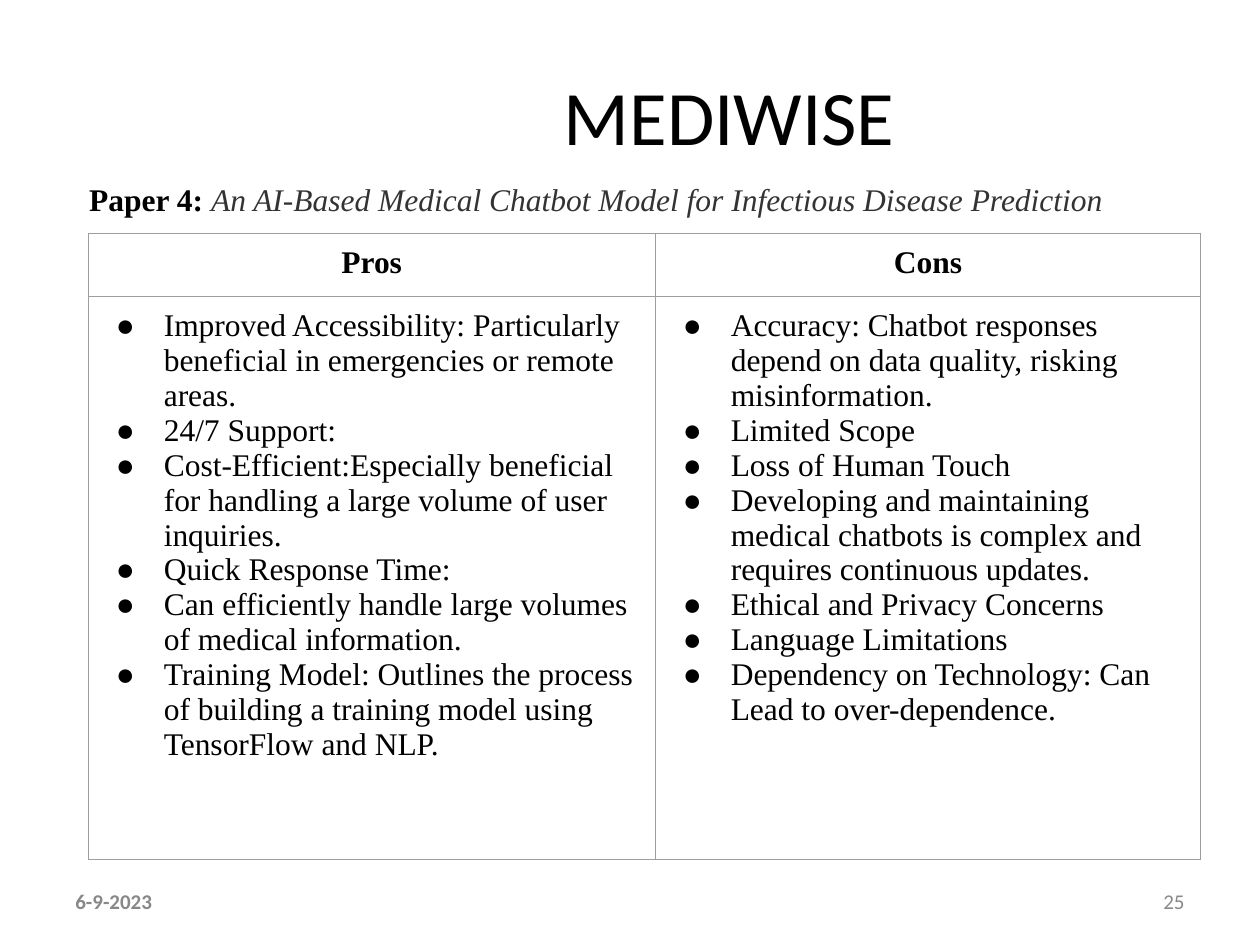
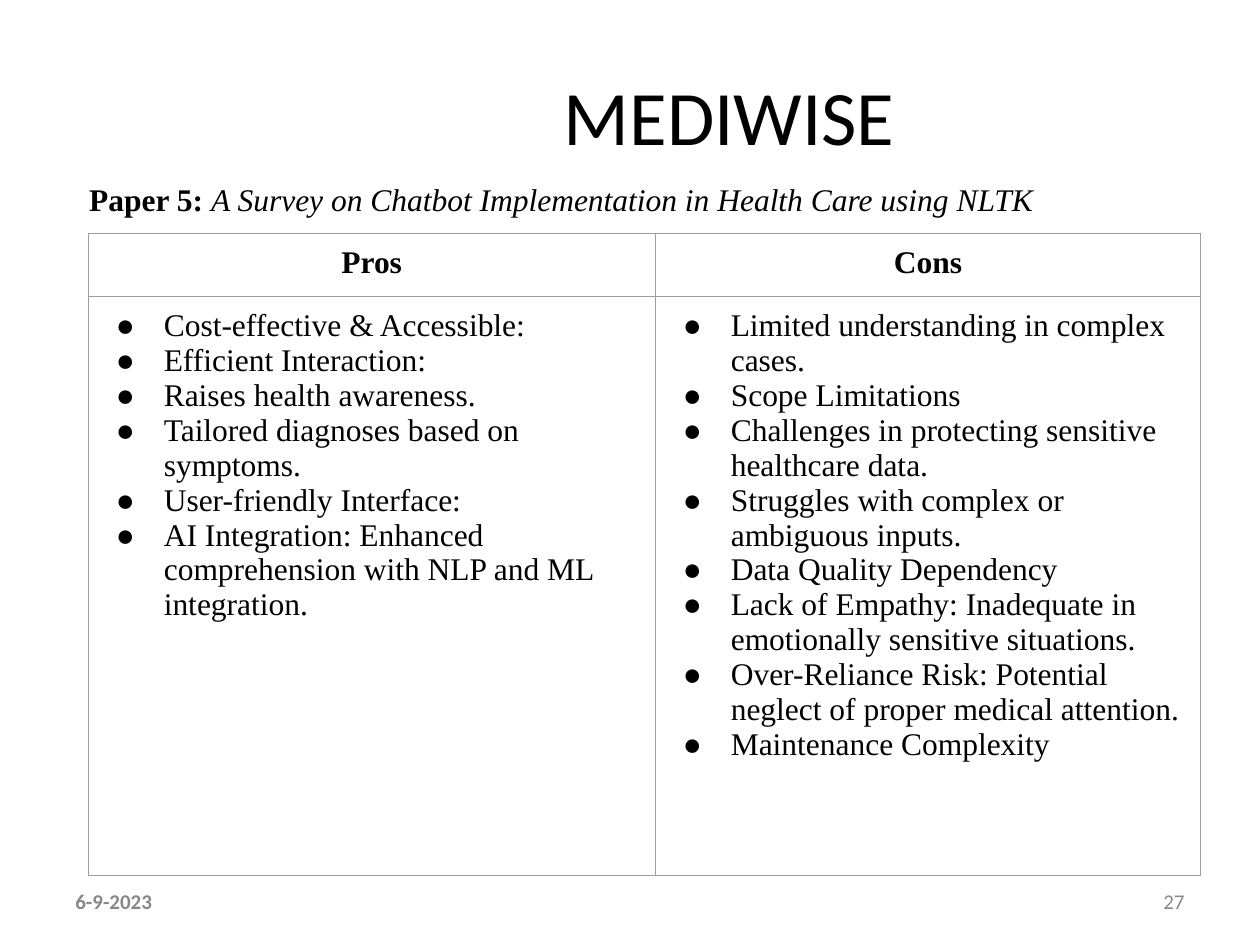
from dataclasses import dataclass

import pptx
import pptx.dml.color
import pptx.enum.text
import pptx.oxml.ns
import pptx.util
from lxml import etree

Inches = pptx.util.Inches
Pt = pptx.util.Pt
Align = pptx.enum.text.PP_ALIGN
Anchor = pptx.enum.text.MSO_ANCHOR


@dataclass(frozen=True)
class Theme:
    heading_font: str = "Calibri"
    body_font: str = "Times New Roman"
    title_size: int = 44
    body_size: int = 18
    footer_size: int = 12
    ink: str = "000000"
    soft_ink: str = "333333"
    footer: str = "888888"
    border: str = "9E9E9E"
    border_width: float = 0.75


@dataclass(frozen=True)
class TextStyle:
    font: str
    size: int
    color: str
    bold: bool = False
    italic: bool = False


@dataclass(frozen=True)
class Box:
    left: float
    top: float
    width: float
    height: float

    def lengths(self) -> tuple:
        return tuple(Inches(n) for n in (self.left, self.top, self.width, self.height))


@dataclass(frozen=True)
class PaperReview:
    label: str
    paper_title: str
    paper_color: str
    page: str
    body_height: float
    pros: tuple[str, ...]
    cons: tuple[str, ...]


THEME = Theme()
TITLE_STYLE = TextStyle(THEME.heading_font, THEME.title_size, THEME.ink)
BODY_STYLE = TextStyle(THEME.body_font, THEME.body_size, THEME.ink)
STRONG_STYLE = TextStyle(THEME.body_font, THEME.body_size, THEME.ink, bold=True)
DATE_STYLE = TextStyle(THEME.heading_font, THEME.footer_size, THEME.footer, bold=True)
PAGE_STYLE = TextStyle(THEME.heading_font, THEME.footer_size, THEME.footer)

TITLE = " MEDIWISE"
DATE = "6-9-2023"
TITLE_BOX = Box(4.08, 0.44, 3.28, 0.94)
PAPER_BOX = Box(0.61, 1.33, 9, 1.99)
DATE_BOX = Box(0.5, 6.95, 2.33, 0.4)
PAGE_BOX = Box(7.17, 6.95, 2.33, 0.4)
TABLE_LEFT, TABLE_TOP = 0.7, 1.85
COLUMN_WIDTHS = (4.5, 4.33)
HEADER_HEIGHT = 0.48
INSET = 0.1
BULLET_INDENT, BULLET_HANGING = 0.5, 0.38

REVIEWS = (
    PaperReview(
        label="Paper 4: ",
        paper_title="An AI-Based Medical Chatbot Model for Infectious Disease Prediction",
        paper_color=THEME.soft_ink,
        page="25",
        body_height=4.47,
        pros=(
            "Improved Accessibility: Particularly beneficial in emergencies or remote areas.",
            "24/7 Support:",
            "Cost-Efficient:Especially beneficial for handling a large volume of user inquiries.",
            "Quick Response Time:",
            "Can efficiently handle large volumes of medical information.",
            "Training Model: Outlines the process of building a training model "
            "using TensorFlow and NLP.",
        ),
        cons=(
            "Accuracy: Chatbot responses depend on data quality, risking misinformation.",
            "Limited Scope",
            "Loss of Human Touch",
            "Developing and maintaining medical chatbots is complex and "
            "requires continuous updates.",
            "Ethical and Privacy Concerns",
            "Language Limitations",
            "Dependency on Technology: Can Lead to over-dependence.",
        ),
    ),
    PaperReview(
        label="Paper 5: ",
        paper_title="A Survey on Chatbot Implementation in Health Care using NLTK",
        paper_color=THEME.ink,
        page="27",
        body_height=4.6,
        pros=(
            "Cost-effective & Accessible:",
            "Efficient Interaction:",
            "Raises health awareness.",
            "Tailored diagnoses based on symptoms.",
            "User-friendly Interface:",
            "AI Integration: Enhanced comprehension with NLP and ML integration.",
        ),
        cons=(
            "Limited understanding in complex cases.",
            "Scope Limitations",
            "Challenges in protecting sensitive healthcare data.",
            "Struggles with complex or ambiguous inputs.",
            "Data Quality Dependency",
            "Lack of Empathy: Inadequate in emotionally sensitive situations.",
            "Over-Reliance Risk: Potential neglect of proper medical attention.",
            "Maintenance Complexity",
        ),
    ),
)


# Text helpers
def add_run(paragraph, text: str, style: TextStyle) -> None:
    run = paragraph.add_run()
    run.text = text
    run.font.name = style.font
    run.font.size = Pt(style.size)
    run.font.bold = style.bold
    run.font.italic = style.italic
    run.font.color.rgb = pptx.dml.color.RGBColor.from_string(style.color)


def set_margins(target, vertical: float = INSET) -> None:
    target.margin_left = target.margin_right = Inches(INSET)
    target.margin_top = target.margin_bottom = Inches(vertical)


def add_text_box(slide, box: Box, vertical_inset: float, anchor):
    frame = slide.shapes.add_textbox(*box.lengths()).text_frame
    frame.word_wrap = True
    frame.vertical_anchor = anchor
    set_margins(frame, vertical_inset)
    return frame.paragraphs[0]


def add_element(parent, tag: str, **attributes: str):
    return etree.SubElement(parent, pptx.oxml.ns.qn(tag), attributes)


def set_bullet(paragraph) -> None:
    properties = paragraph._p.get_or_add_pPr()
    properties.set("marL", str(Inches(BULLET_INDENT)))
    properties.set("indent", str(-Inches(BULLET_HANGING)))
    add_element(add_element(properties, "a:buClr"), "a:srgbClr", val=THEME.ink)
    add_element(properties, "a:buFont", typeface=THEME.body_font)
    add_element(properties, "a:buChar", char="●")


# Table helpers
def format_cell(cell) -> None:
    set_margins(cell)
    properties = cell._tc.get_or_add_tcPr()
    for side in ("a:lnL", "a:lnR", "a:lnT", "a:lnB"):
        line = add_element(properties, side, w=str(Pt(THEME.border_width)))
        add_element(add_element(line, "a:solidFill"), "a:srgbClr", val=THEME.border)
    cell.fill.background()


def fill_column(table, column: int, heading: str, points: tuple[str, ...]) -> None:
    header, body = table.cell(0, column), table.cell(1, column)
    format_cell(header)
    format_cell(body)
    paragraph = header.text_frame.paragraphs[0]
    paragraph.alignment = Align.CENTER
    add_run(paragraph, heading, STRONG_STYLE)
    frame = body.text_frame
    for index, point in enumerate(points):
        paragraph = frame.add_paragraph() if index else frame.paragraphs[0]
        set_bullet(paragraph)
        add_run(paragraph, point, BODY_STYLE)


def add_comparison(slide, review: PaperReview) -> None:
    row_heights = (HEADER_HEIGHT, review.body_height)
    box = Box(TABLE_LEFT, TABLE_TOP, sum(COLUMN_WIDTHS), sum(row_heights))
    table = slide.shapes.add_table(2, 2, *box.lengths()).table
    table.first_row = table.horz_banding = False
    for column, width in zip(table.columns, COLUMN_WIDTHS):
        column.width = Inches(width)
    for row, height in zip(table.rows, row_heights):
        row.height = Inches(height)
    fill_column(table, 0, "Pros", review.pros)
    fill_column(table, 1, "Cons", review.cons)


# Parts shared by every slide
def add_footer(slide, page: str) -> None:
    add_run(add_text_box(slide, DATE_BOX, 0.05, Anchor.MIDDLE), DATE, DATE_STYLE)
    paragraph = add_text_box(slide, PAGE_BOX, 0.05, Anchor.MIDDLE)
    paragraph.alignment = Align.RIGHT
    add_run(paragraph, page, PAGE_STYLE)


def set_title(slide) -> None:
    title = slide.shapes.title
    title.left, title.top, title.width, title.height = TITLE_BOX.lengths()
    frame = title.text_frame
    frame.auto_size = pptx.enum.text.MSO_AUTO_SIZE.NONE
    frame.vertical_anchor = Anchor.TOP
    set_margins(frame)
    paragraph = frame.paragraphs[0]
    paragraph.alignment = Align.CENTER
    add_run(paragraph, TITLE, TITLE_STYLE)


def add_review_slide(presentation, review: PaperReview) -> None:
    title_only = presentation.slide_layouts.get_by_name("Title Only")
    slide = presentation.slides.add_slide(title_only)
    add_footer(slide, review.page)
    set_title(slide)
    paragraph = add_text_box(slide, PAPER_BOX, INSET, Anchor.TOP)
    add_run(paragraph, review.label, STRONG_STYLE)
    paper_style = TextStyle(
        THEME.body_font, THEME.body_size, review.paper_color, italic=True
    )
    add_run(paragraph, review.paper_title, paper_style)
    add_comparison(slide, review)


def main() -> None:
    presentation = pptx.Presentation()
    presentation.slide_width = Inches(10)
    presentation.slide_height = Inches(7.5)
    for review in REVIEWS:
        add_review_slide(presentation, review)
    presentation.save("out.pptx")


if __name__ == "__main__":
    main()
